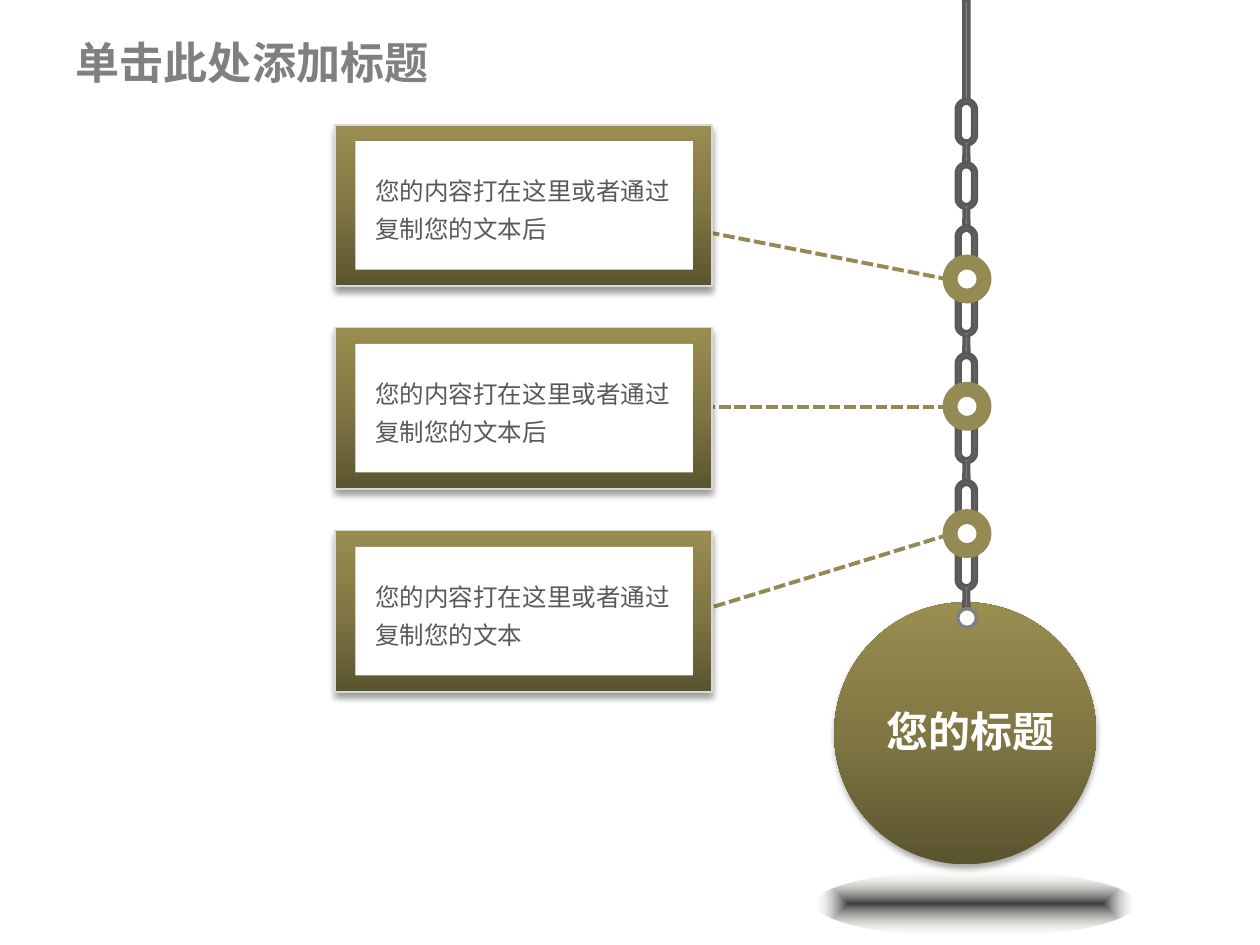
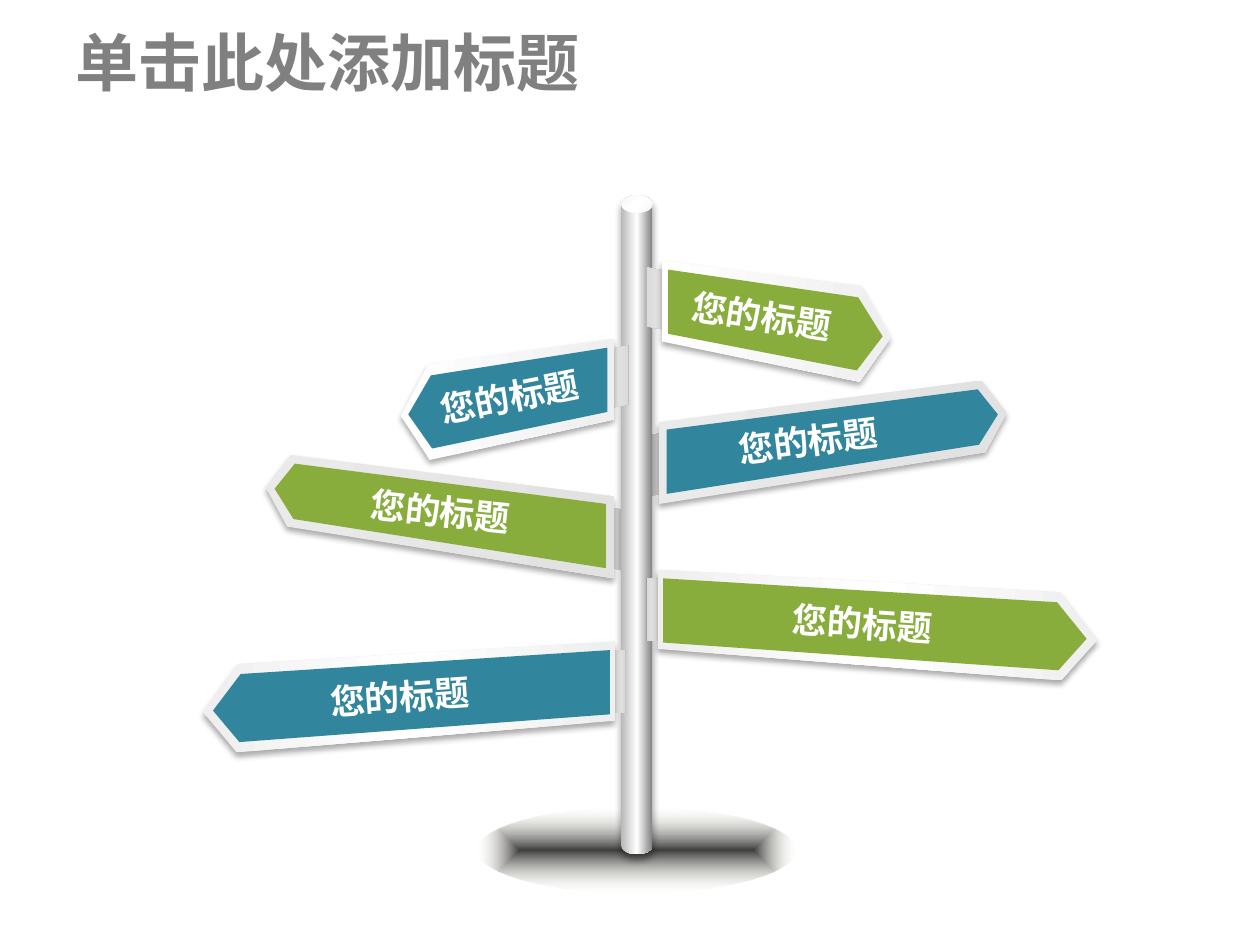
import math

import lxml.etree
import pptx
import pptx.dml.color
import pptx.enum.dml
import pptx.enum.shapes
import pptx.enum.text
import pptx.oxml
import pptx.oxml.ns
import pptx.util

Inches = pptx.util.Inches
Pt = pptx.util.Pt
FORMS = pptx.enum.shapes.MSO_SHAPE
ALIGN = pptx.enum.text.PP_ALIGN
FONT = "Noto Sans CJK SC"
HEAD = "单击此处添加标题"
NAME = "您的标题"

HEX = {
    "white": "FFFFFF", "black": "000000", "grey": "808080", "slate": "595959",
    "khaki": "948A54", "dark": "5A542F", "moss": "817743", "gold": "998D4F",
    "coal": "404040", "cream": "EEECE1", "edge": "D9D9D9", "ink": "262626",
    "ash": "A6A6A6", "teal": "31859C", "green": "88AD3D", "steel": "B8B8B8",
    "shade": "999999", "dull": "CBCBCB", "mid": "DDDDDD", "light": "DBDBDB",
    "pale": "EAEAEA", "mist": "EFEFEF", "fog": "E2E2E2", "snow": "F6F6F6",
}
OLIVE = [(0, "dark"), (50, "moss"), (100, "gold")]
SOFT = (32, 3.5, 2.2)
DEEP = (40, 4, 3)

PLATES = {
    "short": {
        "width": 1.69, "depth": 0.17, "gap": 0.04, "drop": 0.3, "skew": 0.19,
        "outer": [(0, 0), (0, 0.64), (1.46, 0.96), (1.69, 0.61), (1.47, 0.2)],
        "inner": [(0.05, 0.07), (0.05, 0.58), (1.44, 0.87), (1.63, 0.6), (1.45, 0.29)],
        "rim": [(0, "white"), (100, "mist")],
        "clip": [(0, "shade"), (7, "light"), (100, "pale")],
    },
    "middle": {
        "width": 2.76, "depth": 0.08, "gap": 0.04, "drop": 0.34, "skew": 0.21,
        "outer": [(0, 0), (0, 0.65), (2.59, 0.24), (2.76, -0.07), (2.56, -0.33)],
        "inner": [(0.06, 0.06), (0.06, 0.57), (2.54, 0.18), (2.69, -0.06), (2.53, -0.26)],
        "rim": [(0, "pale"), (100, "fog")],
        "clip": [(0, "dull"), (100, "mid")],
    },
    "long": {
        "width": 3.27, "depth": 0.12, "gap": 0.03, "drop": 0.32, "skew": 0.04,
        "outer": [(0, 0), (0, 0.63), (3, 0.88), (3.27, 0.56), (2.99, 0.18)],
        "inner": [(0.04, 0.07), (0.04, 0.58), (2.98, 0.8), (3.19, 0.55), (2.97, 0.26)],
        "rim": [(0, "mist"), (50, "white"), (100, "mist")],
        "clip": [(0, "shade"), (7, "light"), (100, "pale")],
    },
}
BACK = [
    ("middle", 1, (5.23, 3.35, 2.76), "teal", (1.18, 0.15, -7.2)),
    ("middle", -1, (4.87, 3.94, 2.76), "green", (1.38, 0.12, 5.9)),
]
FRONT = [
    ("short", -1, (4.87, 2.69, 1.69), "teal", (0.83, 0.46, -11.3)),
    ("long", -1, (4.88, 5.09, 3.27), "teal", (1.71, 0.44, -4)),
    ("long", 1, (5.22, 4.52, 3.49), "green", (1.62, 0.43, 3.8)),
    ("short", 1, (5.25, 2.07, 1.82), "green", (0.79, 0.44, 8.5)),
]


def tint(key):
    """Return the named colour."""
    return pptx.dml.color.RGBColor.from_string(HEX[key])


def dress(item, values):
    """Set each named attribute on the item."""
    for key, value in values.items():
        setattr(item, key, value)


def node(text):
    """Make a drawing element from its markup."""
    head, tail = text.split(">", 1)
    slash = "/" if head.endswith("/") else ""
    head = head.rstrip("/")
    return pptx.oxml.parse_xml(f"{head} {pptx.oxml.ns.nsdecls('a')}{slash}>{tail}")


def blend(shape, stops, angle=0, route=None):
    """Fill a shape with a straight or central gradient."""
    marks = ""
    for place, key, *alpha in stops:
        clear = f'<a:alpha val="{alpha[0] * 1000}"/>' if alpha else ""
        marks += f'<a:gs pos="{place * 1000}"><a:srgbClr val="{HEX[key]}">{clear}</a:srgbClr></a:gs>'
    course = f'<a:lin ang="{angle * 60000}" scaled="0"/>'
    if route:
        course = (f'<a:path path="{route}"><a:fillToRect l="50000" t="50000" '
                  'r="50000" b="50000"/></a:path>')
    shape.fill.background()
    frame = shape._element.spPr
    blank = frame.find(pptx.oxml.ns.qn("a:noFill"))
    frame.replace(blank, node(f'<a:gradFill rotWithShape="1"><a:gsLst>{marks}</a:gsLst>{course}</a:gradFill>'))


def paint(shape, fill, line=None, glow=None, angle=0, route=None):
    """Set the fill, outline and shadow of a shape."""
    if isinstance(fill, str):
        shape.fill.solid()
        shape.fill.fore_color.rgb = tint(fill)
    else:
        blend(shape, fill, angle, route)
    if line:
        shape.line.color.rgb = tint(line[0])
        shape.line.width = Pt(line[1])
    else:
        shape.line.fill.background()
    shape.shadow.inherit = False
    if glow:
        alpha, blur, dist = glow
        list_ = shape._element.spPr.find(pptx.oxml.ns.qn("a:effectLst"))
        list_.append(node(
            f'<a:outerShdw blurRad="{Pt(blur)}" dist="{Pt(dist)}" dir="5400000" algn="t" rotWithShape="0">'
            f'<a:srgbClr val="{HEX["black"]}"><a:alpha val="{alpha * 1000}"/></a:srgbClr></a:outerShdw>'))
    return shape


def form(slide, kind, box, fill, **look):
    """Add a painted preset shape in a box."""
    shape = slide.shapes.add_shape(kind, *map(Inches, box))
    return paint(shape, fill, **look)


def trace(slide, loops, fill, **look):
    """Add a painted outline made of closed loops."""
    loops = [[(Inches(x), Inches(y)) for x, y in loop] for loop in loops]
    pen = slide.shapes.build_freeform(*loops[0][0])
    pen.add_line_segments(loops[0][1:], close=True)
    for loop in loops[1:]:
        pen.move_to(*loop[0])
        pen.add_line_segments(loop[1:], close=True)
    return paint(pen.convert_to_shape(), fill, **look)


def fill_text(frame, text, size, key, bold=True, align=ALIGN.CENTER, space=1.0):
    """Write one formatted paragraph in a frame."""
    frame.word_wrap = True
    para = frame.paragraphs[0]
    dress(para, {"alignment": align, "line_spacing": space})
    run = para.add_run()
    run.text = text
    dress(run.font, {"size": Pt(size), "bold": bold, "name": FONT})
    run.font.color.rgb = tint(key)
    east = lxml.etree.SubElement(run.font._element, pptx.oxml.ns.qn("a:ea"))
    east.set("typeface", FONT)


def label(slide, box, *text, turn=0, **look):
    """Add a text box, turned if asked."""
    note = slide.shapes.add_textbox(*map(Inches, box))
    note.rotation = turn
    fill_text(note.text_frame, *text, **look)
    note.text_frame.auto_size = pptx.enum.text.MSO_AUTO_SIZE.SHAPE_TO_FIT_TEXT


def start(deck, size):
    """Add a slide with its title set."""
    slide = deck.slides.add_slide(deck.slide_layouts[5])
    title = slide.shapes.title
    dress(title, {"left": Inches(0.5), "top": Inches(0.21),
                  "width": Inches(9), "height": Inches(0.56)})
    dress(title.text_frame, {"vertical_anchor": pptx.enum.text.MSO_ANCHOR.MIDDLE,
                             "auto_size": pptx.enum.text.MSO_AUTO_SIZE.NONE})
    fill_text(title.text_frame, HEAD, size, "grey", align=ALIGN.LEFT)
    return slide


def pool(slide, box):
    """Draw the dark pool on the ground."""
    form(slide, FORMS.OVAL, box, [(0, "coal"), (100, "cream", 0)], route="shape")


def arc(x, y, radius, first, last):
    """List points on an arc, in degrees."""
    turns = [math.radians(first + (last - first) * i / 12) for i in range(13)]
    return [(x + radius * math.cos(t), y + radius * math.sin(t)) for t in turns]


def link(slide, x, top):
    """Draw one chain link with its stem."""
    hole = arc(x, top + 0.08, 0.05, 180, 360) + arc(x, top + 0.28, 0.05, 0, 180)
    body = (arc(x, top + 0.08, 0.08, 180, 360) + arc(x, top + 0.28, 0.08, 0, 78)
            + [(x + 0.02, top + 0.5), (x - 0.02, top + 0.5)]
            + arc(x, top + 0.28, 0.08, 102, 180))
    trace(slide, [hole, body], "grey", line=("slate", 2))


def chain(slide, x, top, last, count):
    """Hang the rod and its even links."""
    form(slide, FORMS.ROUNDED_RECTANGLE, (x - 0.02, 0, 0.04, top), "grey", line=("slate", 2))
    for i in range(count):
        link(slide, x, top + (last - top) * i / (count - 1))


def ball(slide, x, y, size):
    """Draw the hanging ball, chain and ground."""
    form(slide, FORMS.OVAL, (x, y, size, size), OLIVE, angle=270, glow=SOFT)
    form(slide, FORMS.OVAL, (x + 1.01, y + 0.05, 0.06, 0.1),
         [(0, "ash"), (40, "ink")], route="circle")
    chain(slide, x + 1.05, 0.79, 4.32, 8)
    form(slide, FORMS.OVAL, (x + 0.98, y + 0.05, 0.15, 0.15), "white", line=("grey", 2))
    pool(slide, (x - 0.15, y + 2.13, 2.54, 0.52))
    label(slide, (x + 0.27, y + 0.77, 1.62, 0.5), NAME, 24, "white")


def tie(slide, x, y, end):
    """Draw a ring and its dashed lead."""
    form(slide, FORMS.OVAL, (x, y, 0.27, 0.27), "white", line=("khaki", 8.5))
    lead = slide.shapes.add_connector(
        pptx.enum.shapes.MSO_CONNECTOR.STRAIGHT, *map(Inches, (x, y + 0.14, *end)))
    dress(lead.line, {"width": Pt(2.25), "dash_style": pptx.enum.dml.MSO_LINE.SQUARE_DOT})
    lead.line.color.rgb = tint("khaki")
    lead._element.spPr.append(node("<a:effectLst/>"))


def card(slide, x, y, text):
    """Draw one framed card of text."""
    form(slide, FORMS.RECTANGLE, (x, y, 2.99, 1.28), OLIVE,
         angle=270, line=("edge", 1), glow=DEEP)
    form(slide, FORMS.RECTANGLE, (x + 0.16, y + 0.13, 2.68, 1.02), "white")
    label(slide, (x + 0.22, y + 0.29, 2.54, 0.71), text, 14, "slate",
          bold=False, align=ALIGN.LEFT, space=1.3)


def chain_page(deck):
    """Build the slide with the hanging ball."""
    slide = start(deck, 25.2)
    ball(slide, 6.62, 4.78, 2.08)
    short = "您的内容打在这里或者通过复制您的文本"
    rows = [(1.83, short + "后"), (3.23, short + "后"), (4.85, short)]
    for i, (end, text) in enumerate(rows):
        tie(slide, 7.54, 2.08 + 1.01 * i, (5.55, end))
        card(slide, 2.66, 0.99 + 1.61 * i, text)


def sign(slide, kind, side, box, key, mark):
    """Draw one sign from its hinge outward."""
    plate = PLATES[kind]
    x, y, width = box
    ratio = width / plate["width"]
    deep = plate["depth"]
    clip = form(slide, FORMS.PARALLELOGRAM,
                (x - side * plate["gap"] - 0.25, y + plate["drop"] - deep / 2, 0.5, deep),
                plate["clip"], angle=90)
    clip.adjustments[0] = plate["skew"]
    clip.rotation = 270 if side > 0 else 90
    if (kind == "middle") == (side > 0):
        clip._element.spPr.find(pptx.oxml.ns.qn("a:xfrm")).set("flipH", "1")
    for part, fill, glow in (("outer", plate["rim"], SOFT), ("inner", key, None)):
        spots = [(x + side * ratio * dx, y + dy) for dx, dy in plate[part]]
        trace(slide, [spots], fill, glow=glow)
    out, down, turn = mark
    label(slide, (x + side * out - 0.82, y + down - 0.22, 1.65, 0.44),
          NAME, 20, "white", turn=turn)


def pole(slide, x, y, width, height):
    """Draw the post and its cap."""
    post = form(slide, FORMS.CAN, (x, y, width, height),
                [(0, "steel"), (50, "white"), (100, "grey")], glow=DEEP)
    post.adjustments[0] = 0.55
    form(slide, FORMS.OVAL, (x, y, width, 0.14),
         [(0, "snow"), (50, "white"), (100, "snow")], angle=45)


def sign_page(deck):
    """Build the slide with the sign post."""
    slide = start(deck, 36)
    pool(slide, (3.79, 6.41, 2.52, 0.67))
    for row in BACK:
        sign(slide, *row)
    pole(slide, 4.93, 1.55, 0.25, 5.23)
    for row in FRONT:
        sign(slide, *row)


def main():
    """Build and save the deck."""
    deck = pptx.Presentation()
    dress(deck, {"slide_width": Inches(10), "slide_height": Inches(7.5)})
    chain_page(deck)
    sign_page(deck)
    deck.save("out.pptx")


if __name__ == "__main__":
    main()
